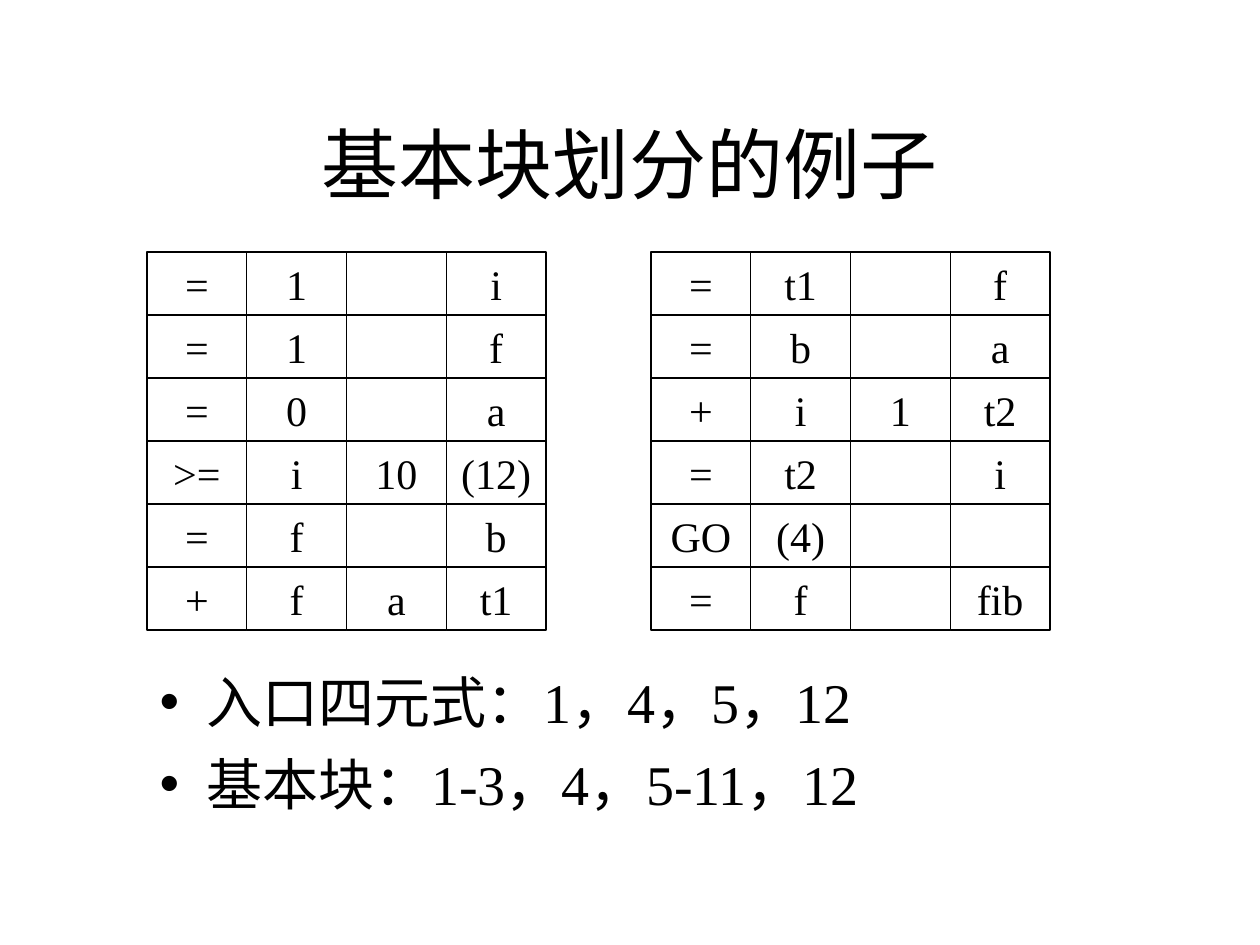
from pptx import Presentation
from pptx.dml.color import RGBColor
from pptx.enum.shapes import MSO_SHAPE
from pptx.enum.text import MSO_ANCHOR, MSO_AUTO_SIZE, PP_ALIGN
from pptx.util import Pt

RECT = MSO_SHAPE.RECTANGLE
MIDDLE, CENTER = MSO_ANCHOR.MIDDLE, PP_ALIGN.CENTER
NO_FIT = MSO_AUTO_SIZE.NONE
BLACK = RGBColor(0, 0, 0)
PX = 9525  # EMU in one px, 96 px to the inch

CELL_W, CELL_H = 76, 48
LEFT_QUADS = [
    ("=", "1", "", "i"),
    ("=", "1", "", "f"),
    ("=", "0", "", "a"),
    (">=", "i", "10", "(12)"),
    ("=", "f", "", "b"),
    ("+", "f", "a", "t1"),
]
RIGHT_QUADS = [
    ("=", "t1", "", "f"),
    ("=", "b", "", "a"),
    ("+", "i", "1", "t2"),
    ("=", "t2", "", "i"),
    ("GO", "(4)", "", ""),
    ("=", "f", "", "fib"),
]


class SlideBuilder:
    font = "Times New Roman"
    color = BLACK

    def __init__(self, slide):
        self.slide = slide

    def style(self, p, size):
        p.font.name = self.font
        p.font.size = Pt(size)
        p.font.color.rgb = self.color

    def place(self, shape, x, y, w, h):
        shape.left, shape.top = x * PX, y * PX
        shape.width, shape.height = w * PX, h * PX

    def title(self, text, x, y, w, h):
        s = self.slide.shapes.title
        self.place(s, x, y, w, h)
        tf = s.text_frame
        tf.text = text
        tf.auto_size = NO_FIT
        tf.vertical_anchor = MIDDLE
        p = tf.paragraphs[0]
        p.alignment = CENTER
        self.style(p, 44)

    def bullets(self, items, x, y, w, h):
        s = self.slide.placeholders[1]
        self.place(s, x, y, w, h)
        tf = s.text_frame
        tf.text = "\n".join(items)
        tf.auto_size = NO_FIT
        for i, p in enumerate(tf.paragraphs):
            p.space_before = Pt(8 if i else 0)
            self.style(p, 32)

    def cell(self, shapes, text, x, y):
        s = shapes.add_shape(RECT, x * PX, y * PX, CELL_W * PX, CELL_H * PX)
        s.shadow.inherit = False
        s.fill.background()
        s.line.color.rgb = self.color
        s.line.width = Pt(0.75)
        if text:
            tf = s.text_frame
            tf.text = text
            tf.word_wrap = True
            tf.vertical_anchor = MIDDLE
            p = tf.paragraphs[0]
            p.alignment = CENTER
            self.style(p, 24)

    def quad_grid(self, quads, x, y):
        """Draw one group of four cells for each quadruple."""
        for row, quad in enumerate(quads):
            group = self.slide.shapes.add_group_shape()
            for col, text in enumerate(quad):
                self.cell(group.shapes, text, x + col * CELL_W, y + row * CELL_H)


def main():
    prs = Presentation()
    prs.slide_width, prs.slide_height = 960 * PX, 720 * PX
    b = SlideBuilder(prs.slides.add_slide(prs.slide_layouts[1]))
    b.title("基本块划分的例子", 72, 64, 816, 120)
    b.bullets(["入口四元式：1，4，5，12", "基本块：1-3，4，5-11，12"], 112, 504, 712, 184)
    b.quad_grid(LEFT_QUADS, 112, 192)
    b.quad_grid(RIGHT_QUADS, 496, 192)
    prs.save("out.pptx")


if __name__ == "__main__":
    main()
